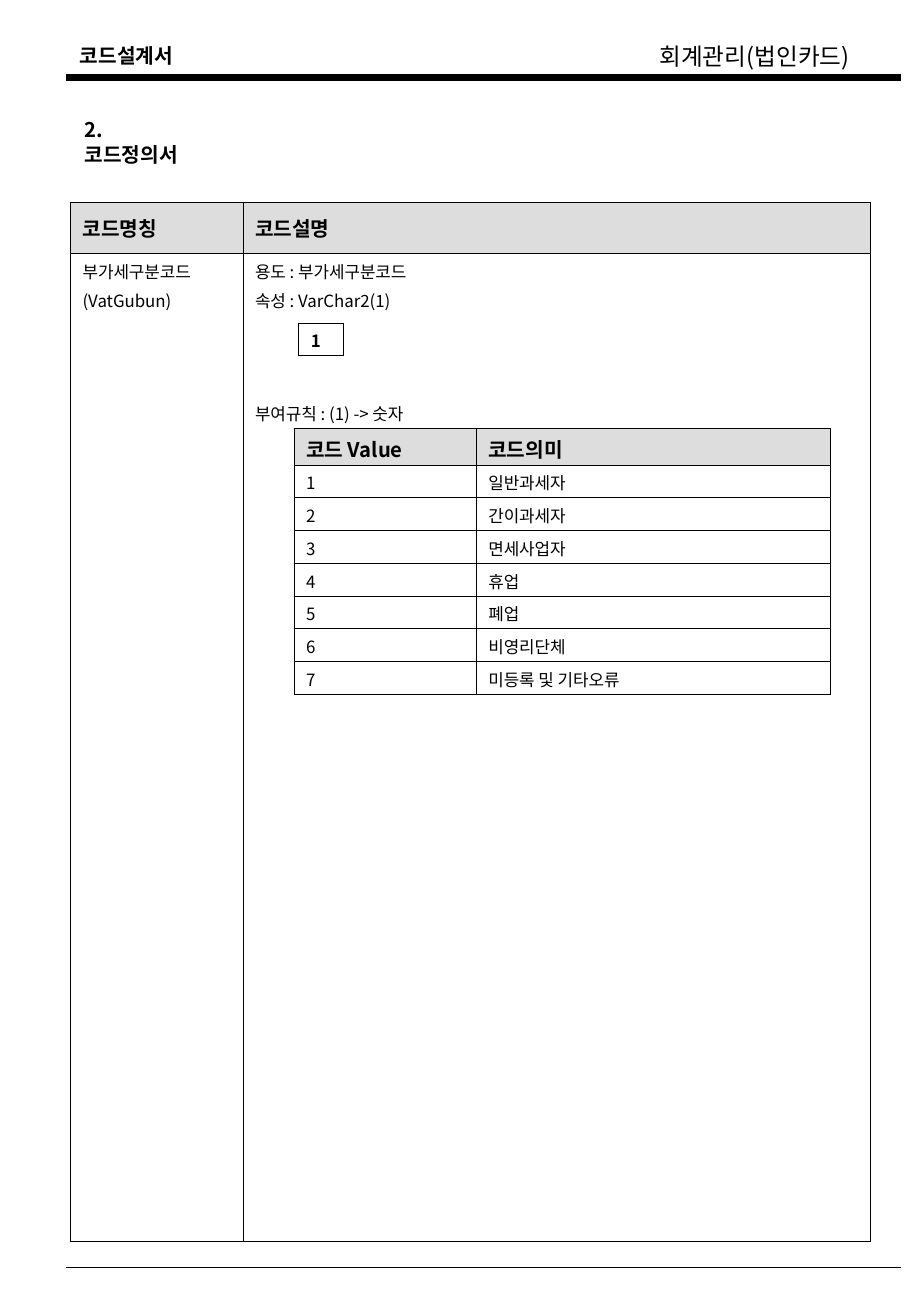
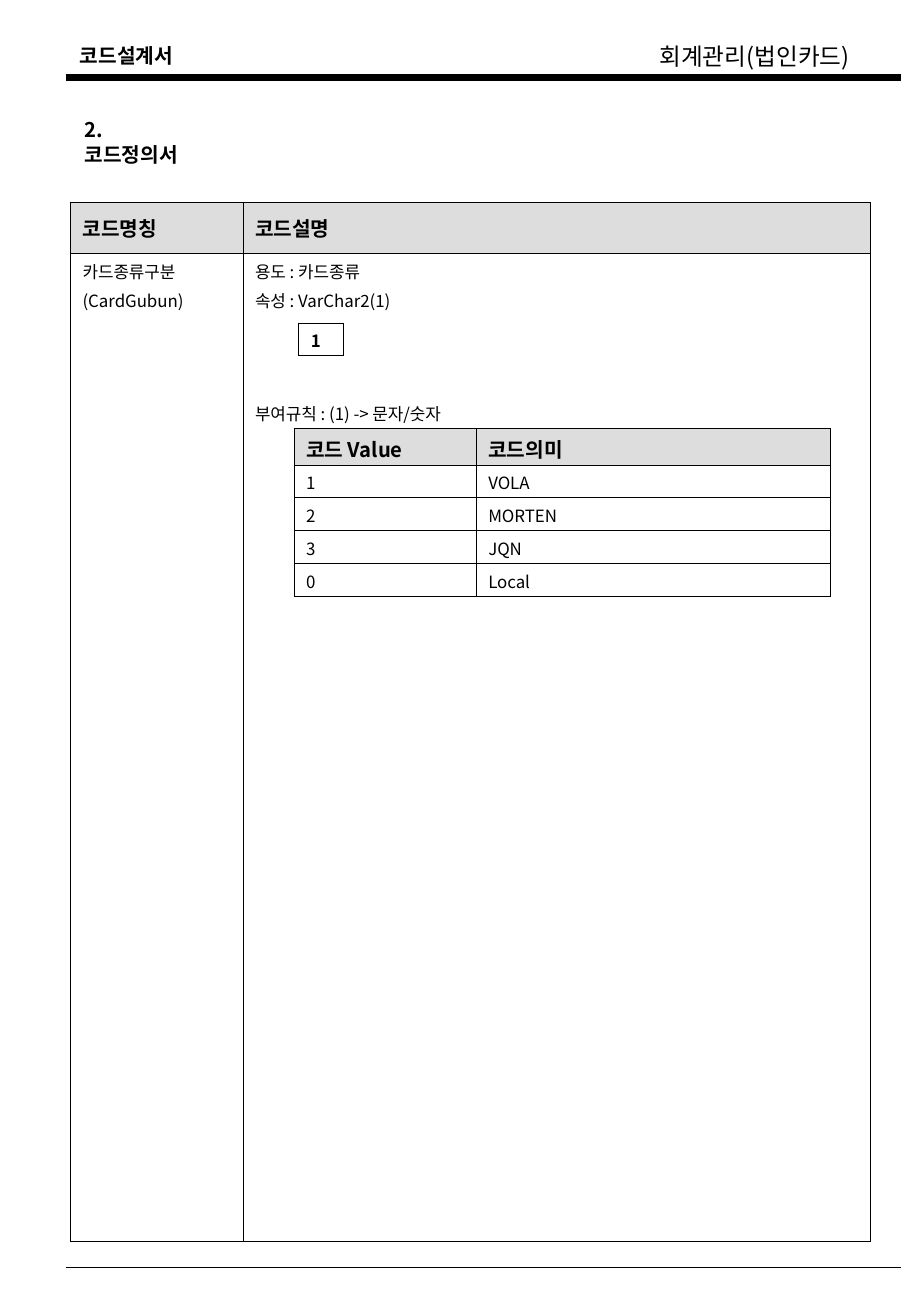
from dataclasses import dataclass

from pptx import Presentation
from pptx import util as u
from pptx.dml.color import RGBColor
from pptx.enum import shapes, text
from pptx.oxml import ns
from lxml import etree

PX = 9144
FONT = "Noto Sans CJK KR"
BLACK = RGBColor(0x00, 0x00, 0x00)
HEADER_FILL = RGBColor(0xDD, 0xDD, 0xDD)
INNER_LINE = 0.45
OUTER_LINE = 0.75
LINE_HEIGHT = 1.2
HEADING_SIZE = 12
BODY_SIZE = 10
RULE_LEFT, RULE_RIGHT = 54, 742


@dataclass(frozen=True)
class Line:
    text: str
    size: int = BODY_SIZE
    bold: bool = False
    space_before: int = 0


@dataclass(frozen=True)
class CellText:
    lines: tuple[Line, ...]
    inset_top: int = 8
    shaded: bool = False


@dataclass(frozen=True)
class Label:
    left: int
    top: int
    width: int
    height: int
    line: Line
    wrap: bool = False


@dataclass(frozen=True)
class Rule:
    top: int
    weight: float


@dataclass(frozen=True)
class CodeDefinition:
    name: str
    field: str
    usage: str
    numbering: str
    meanings: tuple[tuple[str, str], ...]


LABELS = (
    Label(56, 31, 130, 30, Line("코드설계서", HEADING_SIZE, True), wrap=True),
    Label(533, 30, 209, 34, Line("회계관리(법인카드)", 14), wrap=True),
    Label(60, 92, 110, 50, Line("2. 코드정의서", HEADING_SIZE, True), wrap=True),
)
RULES = (Rule(64, 4.5), Rule(1044, 1))

DEFINITIONS = (
    CodeDefinition(
        "부가세구분코드", "(VatGubun)", "부가세구분코드", "숫자",
        (
            ("1", "일반과세자"),
            ("2", "간이과세자"),
            ("3", "면세사업자"),
            ("4", "휴업"),
            ("5", "폐업"),
            ("6", "비영리단체"),
            ("7", "미등록 및 기타오류"),
        ),
    ),
    CodeDefinition(
        "카드종류구분", "(CardGubun)", "카드종류", "문자/숫자",
        (("1", "VOLA"), ("2", "MORTEN"), ("3", "JQN"), ("0", "Local")),
    ),
)


def px(length: int) -> u.Emu:
    return u.Emu(length * PX)


def write_lines(frame, lines: tuple[Line, ...]) -> None:
    for index, line in enumerate(lines):
        paragraph = frame.add_paragraph() if index else frame.paragraphs[0]
        paragraph.text = line.text
        paragraph.line_spacing = u.Pt(line.size * LINE_HEIGHT)
        if line.space_before:
            paragraph.space_before = u.Pt(line.space_before)
        font = paragraph.font
        font.size = u.Pt(line.size)
        font.bold = line.bold
        font.color.rgb = BLACK
        font.name = FONT
        etree.SubElement(font._element, ns.qn("a:ea"), typeface=FONT)


def add_label(slide, label: Label) -> None:
    box = slide.shapes.add_textbox(
        px(label.left), px(label.top), px(label.width), px(label.height)
    )
    box.text_frame.word_wrap = label.wrap
    write_lines(box.text_frame, (label.line,))


def add_rule(slide, rule: Rule) -> None:
    connector = slide.shapes.add_connector(
        shapes.MSO_CONNECTOR.STRAIGHT,
        px(RULE_LEFT), px(rule.top), px(RULE_RIGHT), px(rule.top),
    )
    connector.line.color.rgb = BLACK
    connector.line.width = u.Pt(rule.weight)
    etree.SubElement(connector._element.spPr, ns.qn("a:effectLst"))


def set_borders(cell, weights: dict[str, float]) -> None:
    properties = cell._tc.get_or_add_tcPr()
    for index, (side, weight) in enumerate(weights.items()):
        border = etree.Element(ns.qn(f"a:ln{side}"), w=str(int(u.Pt(weight))))
        fill = etree.SubElement(border, ns.qn("a:solidFill"))
        etree.SubElement(fill, ns.qn("a:srgbClr"), val=str(BLACK))
        properties.insert(index, border)


def add_grid(
    slide,
    left: int,
    top: int,
    widths: tuple[int, ...],
    heights: tuple[int, ...],
    rows: list[tuple[CellText, ...]],
    outer: float = INNER_LINE,
) -> None:
    table = slide.shapes.add_table(
        len(heights), len(widths), px(left), px(top), px(sum(widths)), px(sum(heights))
    ).table
    table.first_row = False
    table.horz_banding = False
    for column, width in zip(table.columns, widths):
        column.width = px(width)
    for row, height in zip(table.rows, heights):
        row.height = px(height)
    last_row, last_column = len(heights) - 1, len(widths) - 1
    for y, row_content in enumerate(rows):
        for x, content in enumerate(row_content):
            cell = table.cell(y, x)
            cell.vertical_anchor = text.MSO_ANCHOR.TOP
            cell.margin_left = cell.margin_right = px(10)
            cell.margin_top = px(content.inset_top)
            cell.margin_bottom = px(1)
            if content.shaded:
                cell.fill.solid()
                cell.fill.fore_color.rgb = HEADER_FILL
            else:
                cell.fill.background()
            write_lines(cell.text_frame, content.lines)
            edges = {"L": x == 0, "R": x == last_column, "T": y == 0, "B": y == last_row}
            set_borders(
                cell, {side: outer if edge else INNER_LINE for side, edge in edges.items()}
            )


def header_row(inset_top: int, *titles: str) -> tuple[CellText, ...]:
    return tuple(
        CellText((Line(title, HEADING_SIZE, True),), inset_top, True) for title in titles
    )


def add_definition(slide, definition: CodeDefinition) -> None:
    name = CellText((Line(definition.name), Line(definition.field, space_before=5)))
    description = CellText(
        (
            Line(f"용도 : {definition.usage}"),
            Line("속성 : VarChar2(1)", space_before=5),
            Line(f"부여규칙 : (1) -> {definition.numbering}", space_before=55),
        )
    )
    add_grid(
        slide, 58, 167, (142, 517), (42, 814),
        [header_row(13, "코드명칭", "코드설명"), (name, description)], OUTER_LINE,
    )
    meanings = [
        tuple(CellText((Line(value),)) for value in pair) for pair in definition.meanings
    ]
    add_grid(
        slide, 242, 353, (150, 292), (30,) + (27,) * len(meanings),
        [header_row(9, "코드 Value", "코드의미"), *meanings],
    )
    add_grid(slide, 246, 266, (37,), (27,), [(CellText((Line("1", bold=True),)),)])


def main() -> None:
    presentation = Presentation()
    presentation.slide_width = px(750)
    presentation.slide_height = px(1084)
    blank = presentation.slide_layouts[6]
    for definition in DEFINITIONS:
        slide = presentation.slides.add_slide(blank)
        for label in LABELS:
            add_label(slide, label)
        for rule in RULES:
            add_rule(slide, rule)
        add_definition(slide, definition)
    presentation.save("out.pptx")


if __name__ == "__main__":
    main()
